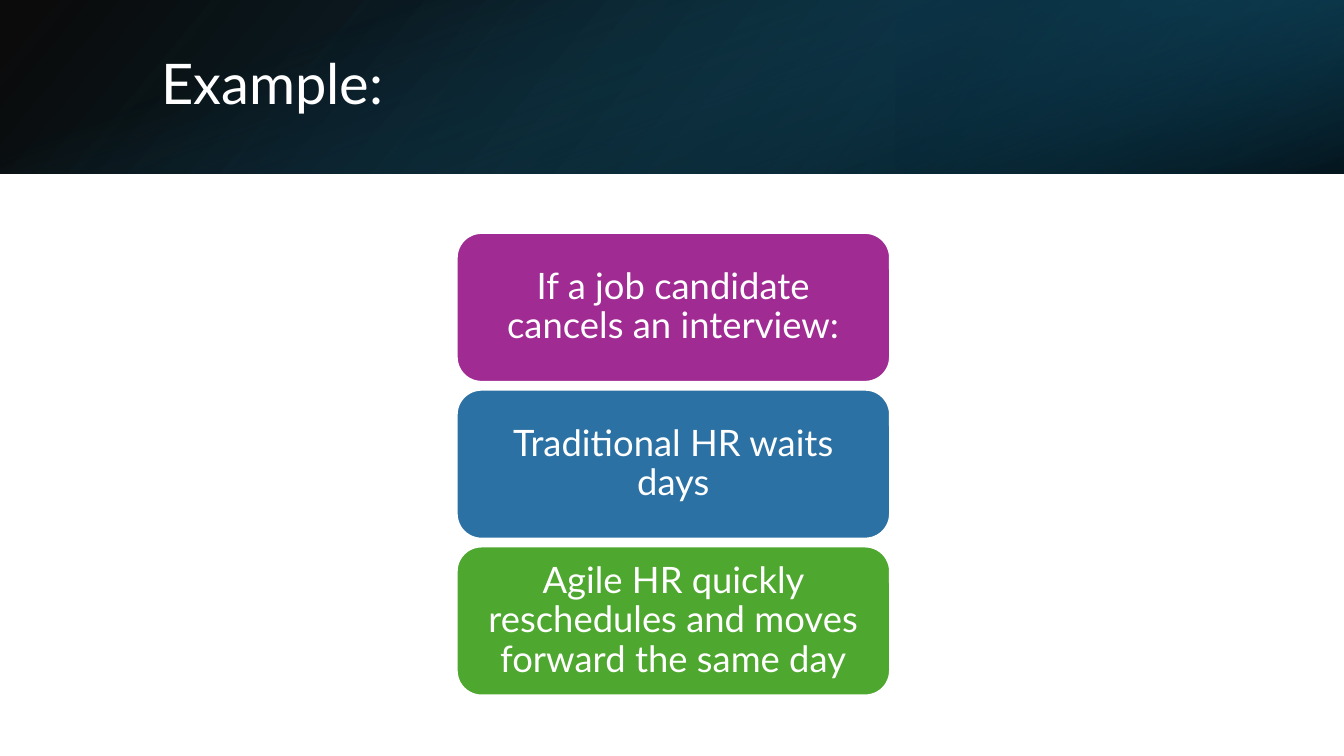
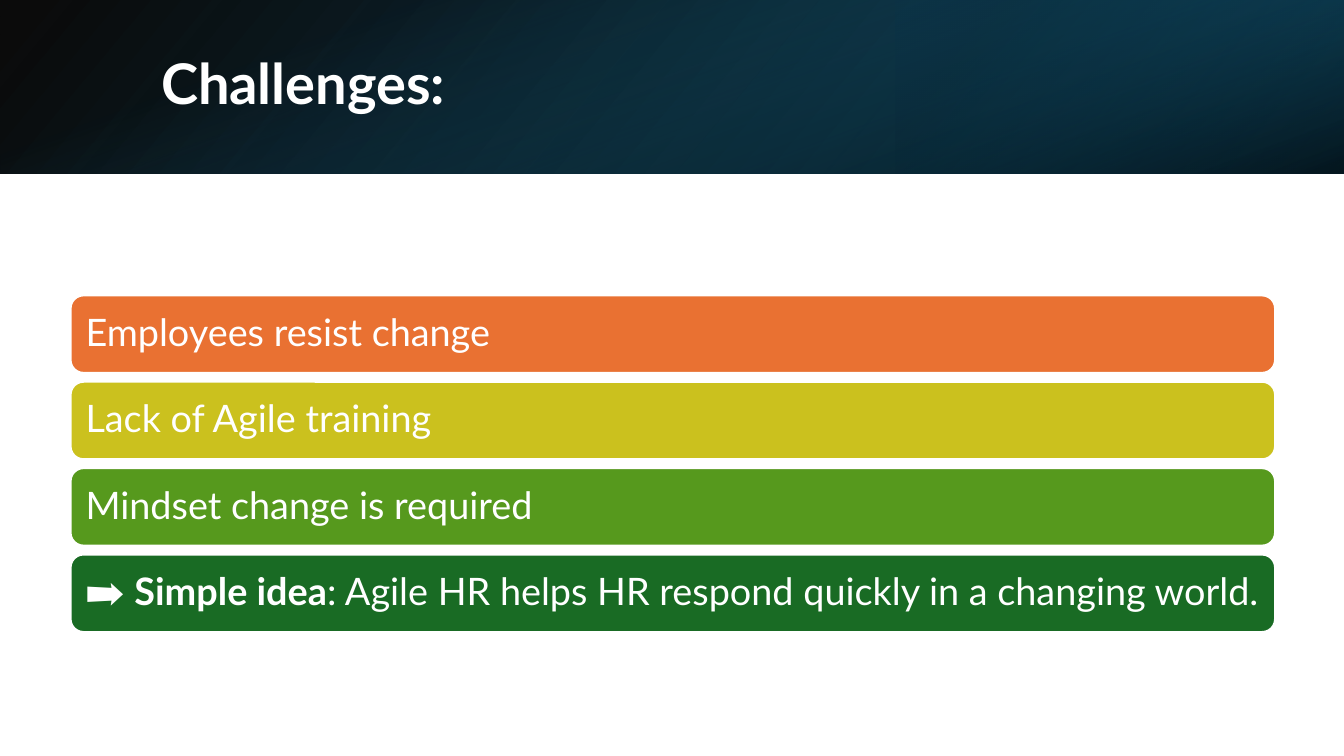
from dataclasses import dataclass

from lxml import etree
from pptx import Presentation
from pptx.dml.color import RGBColor
from pptx.enum import shapes, text
from pptx.oxml import ns
from pptx.util import Pt


@dataclass(frozen=True)
class Theme:
    font: str = "Lato"
    white: str = "FFFFFF"
    title_size: float = 40
    card_size: float = 26
    bar_size: float = 27
    outline: float = 1.5
    line_spacing: float = 0.9
    card_fills: tuple = ("A02B93", "2C71A4", "4EA72E")
    bar_fills: tuple = ("E97132", "CBC11E", "56991D", "196B24")
    base_glow: tuple = ((0, "000000", 96), (100, "104862", 100))
    corner_glow: tuple = ((19, "0B3041", 68), (100, "156082", 79))
    edge_shade: tuple = ((23, "156082", 0), (99, "000000", 74))


@dataclass(frozen=True)
class Box:
    left: float
    top: float
    width: float
    height: float

    def points(self):
        return [Pt(v) for v in (self.left, self.top, self.width, self.height)]


THEME = Theme()
PAGE = Box(0, 0, 960, 540)
BAND = Box(0, 0, 960, 124)
CARDS = Box(326.2, 166.3, 309.6, 330.5)
BARS = Box(50.4, 211, 860.4, 240.5)


def set_gradient(shape, stops, angle):
    shape.fill.background()
    properties = shape._element.spPr
    gradient = etree.Element(ns.qn("a:gradFill"), rotWithShape="1")
    stop_list = etree.SubElement(gradient, ns.qn("a:gsLst"))
    for position, color, opacity in stops:
        stop = etree.SubElement(stop_list, ns.qn("a:gs"), pos=str(position * 1000))
        shade = etree.SubElement(stop, ns.qn("a:srgbClr"), val=color)
        if opacity < 100:
            etree.SubElement(shade, ns.qn("a:alpha"), val=str(opacity * 1000))
    etree.SubElement(gradient, ns.qn("a:lin"), ang=str(angle * 60000), scaled="0")
    properties.replace(properties.find(ns.qn("a:noFill")), gradient)


def add_layer(slide, box, stops, angle, rotation=0, flipped=False):
    layer = slide.shapes.add_shape(shapes.MSO_SHAPE.RECTANGLE, *box.points())
    layer.shadow.inherit = False
    set_gradient(layer, stops, angle)
    layer.line.fill.background()
    layer.rotation = rotation
    if flipped:
        layer._element.spPr.find(ns.qn("a:xfrm")).set("flipH", "1")


def write_text(frame, runs, size, align, insets):
    frame.word_wrap = True
    frame.vertical_anchor = text.MSO_ANCHOR.MIDDLE
    (frame.margin_left, frame.margin_top,
     frame.margin_right, frame.margin_bottom) = [Pt(v) for v in insets]
    paragraph = frame.paragraphs[0]
    paragraph.alignment = align
    paragraph.line_spacing = THEME.line_spacing
    for words, bold in runs:
        run = paragraph.add_run()
        run.text = words
        run.font.name = THEME.font
        run.font.size = Pt(size)
        run.font.bold = bold
        run.font.color.rgb = RGBColor.from_string(THEME.white)


def add_title_band(slide, box, title, bold):
    third = box.width / 3
    corner = Box(box.left + 2 * third, box.top, third, box.height)
    shift = (box.width - box.height) / 2
    upright = Box(box.left + shift, box.top - shift, box.height, box.width)
    add_layer(slide, box, THEME.base_glow, 140, flipped=True)
    add_layer(slide, corner, THEME.corner_glow, 320, rotation=180, flipped=True)
    add_layer(slide, upright, THEME.edge_shade, 340, rotation=90)

    title_box = Box(box.left + 108, box.top + 27.4, 790.6, 69.1)
    heading = slide.shapes.add_textbox(*title_box.points())
    write_text(heading.text_frame, [(title, bold)], THEME.title_size,
               text.PP_ALIGN.LEFT, (7.2, 3.6, 7.2, 3.6))


def add_stack(slide, box, items, fills, item_height, size, align, insets):
    pitch = (box.height - item_height) / (len(items) - 1)
    for row, (runs, fill) in enumerate(zip(items, fills)):
        place = Box(box.left, box.top + row * pitch, box.width, item_height)
        panel = slide.shapes.add_shape(
            shapes.MSO_SHAPE.ROUNDED_RECTANGLE, *place.points())
        panel.shadow.inherit = False
        panel.fill.solid()
        panel.fill.fore_color.rgb = RGBColor.from_string(fill)
        panel.line.color.rgb = RGBColor.from_string(THEME.white)
        panel.line.width = Pt(THEME.outline)
        write_text(panel.text_frame, runs, size, align, insets)


def add_slide(deck, title, bold):
    slide = deck.slides.add_slide(deck.slide_layouts[6])
    slide.background.fill.solid()
    slide.background.fill.fore_color.rgb = RGBColor.from_string(THEME.white)
    add_title_band(slide, BAND, title, bold)
    return slide


def build_example(deck):
    cards = [
        [("If a job candidate cancels an interview:", False)],
        [("Traditional HR waits days", False)],
        [("Agile HR quickly reschedules and moves forward the same day", False)],
    ]
    add_stack(add_slide(deck, "Example:", False), CARDS, cards,
              THEME.card_fills, 106.5, THEME.card_size,
              text.PP_ALIGN.CENTER, (7.8, 3.9, 7.8, 3.9))


def build_challenges(deck):
    bars = [
        [("Employees resist change", False)],
        [("Lack of Agile training", False)],
        [("Mindset change is required", False)],
        [("➡️ ", False), ("Simple idea", True),
         (": Agile HR helps HR respond quickly in a changing world.", False)],
    ]
    add_stack(add_slide(deck, "Challenges:", True), BARS, bars,
              THEME.bar_fills, 55.4, THEME.bar_size,
              text.PP_ALIGN.LEFT, (8, 8, 4, 8))


def main():
    deck = Presentation()
    deck.slide_width, deck.slide_height = Pt(PAGE.width), Pt(PAGE.height)
    build_example(deck)
    build_challenges(deck)
    deck.save("out.pptx")


if __name__ == "__main__":
    main()
